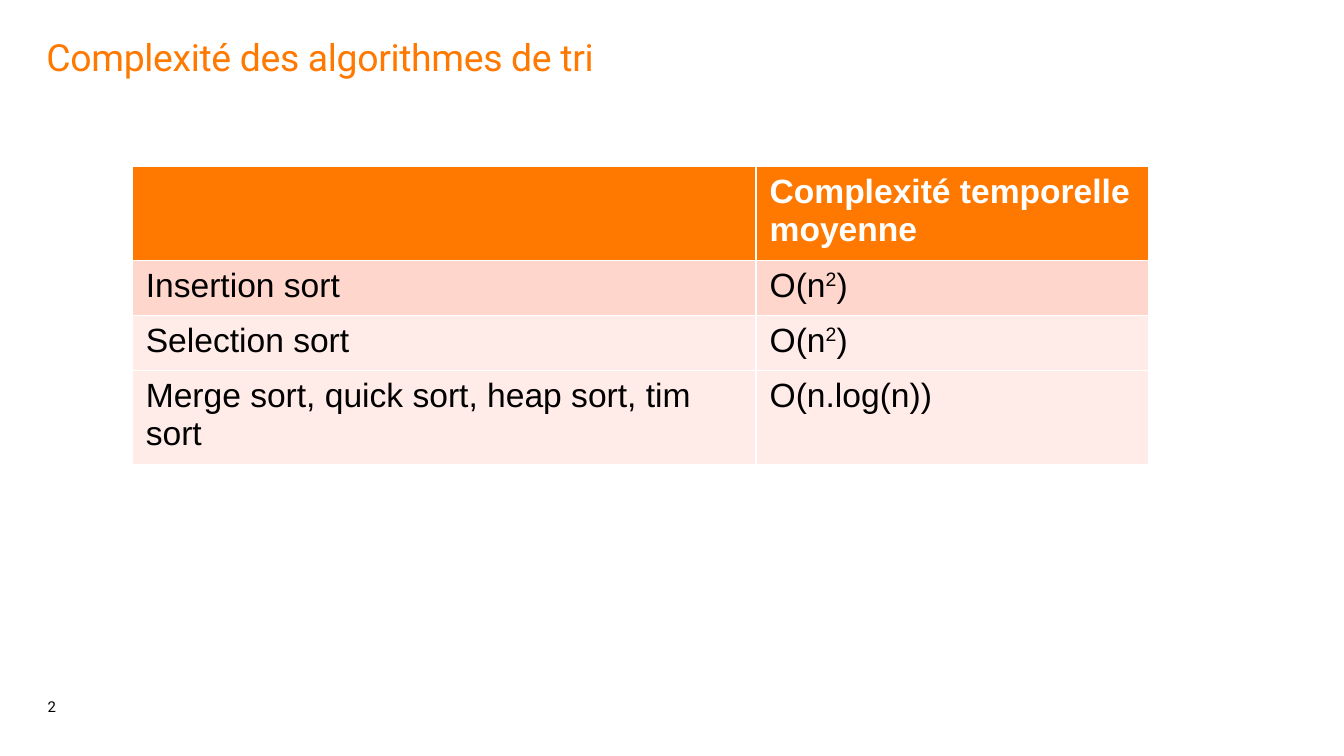
"""Build a slide comparing the average time complexity of sorting algorithms."""

from dataclasses import dataclass
from typing import NamedTuple

from pptx import Presentation
from pptx.dml.color import RGBColor
from pptx.enum.text import MSO_ANCHOR
from pptx.util import Inches, Pt

SLIDE_WIDTH = Inches(10)
SLIDE_HEIGHT = SLIDE_WIDTH * 9 // 16


@dataclass(frozen=True)
class Theme:
    accent: str = "FF7900"
    strong_band: str = "FFD6CC"
    light_band: str = "FFEBE7"
    ink: str = "000000"
    paper: str = "FFFFFF"
    heading_font: str = "Roboto"
    body_font: str = "Arial"
    title_size: float = 20
    body_size: float = 18
    number_size: float = 8


class Area(NamedTuple):
    left: float
    top: float
    width: float
    height: float

    def lengths(self) -> tuple[int, int, int, int]:
        """Turn shares of the slide into lengths."""
        return (round(self.left * SLIDE_WIDTH), round(self.top * SLIDE_HEIGHT),
                round(self.width * SLIDE_WIDTH), round(self.height * SLIDE_HEIGHT))


class Row(NamedTuple):
    algorithms: str
    complexity: str
    fill: str
    lines: int = 1
    header: bool = False


THEME = Theme()
MARGIN = 0.0345
TITLE_AREA = Area(MARGIN, 0.052, 0.931, 0.144)
NUMBER_AREA = Area(MARGIN, 0.882, 0.03, 0.064)
TABLE_AREA = Area(0.0985, 0.22, 0.756, 0.38)
COLUMN_SHARES = (0.614, 0.386)
ROW_HEIGHTS = {1: Inches(0.41), 2: Inches(0.66)}
ROWS = (
    Row("", "Complexité temporelle moyenne", THEME.accent, lines=2, header=True),
    Row("Insertion sort", "O(n^2^)", THEME.strong_band),
    Row("Selection sort", "O(n^2^)", THEME.light_band),
    Row("Merge sort, quick sort, heap sort, tim sort", "O(n.log(n))", THEME.light_band, lines=2),
)


def write_text(frame, text: str, *, size: float, font: str, color: str, bold: bool = False,
               line_spacing: float | None = None, space_after: float | None = None,
               tracking: float = 0) -> None:
    """Write one paragraph, raising whatever stands between carets."""
    frame.word_wrap = True
    paragraph = frame.paragraphs[0]
    if line_spacing is not None:
        paragraph.line_spacing = line_spacing
    if space_after is not None:
        paragraph.space_after = Pt(space_after)
    for index, part in enumerate(text.split("^")):
        run = paragraph.add_run()
        run.text = part
        run.font.size, run.font.name, run.font.bold = Pt(size), font, bold
        run.font.color.rgb = RGBColor.from_string(color)
        properties = run._r.get_or_add_rPr()
        if index % 2:
            properties.set("baseline", "33000")
        if tracking:
            properties.set("spc", str(round(tracking * 100)))


def add_label(slide, area: Area, text: str, *, anchor: MSO_ANCHOR = MSO_ANCHOR.TOP,
              inset: float = 0, **text_format) -> None:
    """Place a text box with tight margins."""
    frame = slide.shapes.add_textbox(*area.lengths()).text_frame
    frame.margin_left = Inches(inset)
    frame.margin_top = frame.margin_right = frame.margin_bottom = 0
    frame.vertical_anchor = anchor
    write_text(frame, text, **text_format)


def add_complexity_table(slide, area: Area, rows: tuple[Row, ...]) -> None:
    """Place the table of algorithms and their complexity."""
    table = slide.shapes.add_table(len(rows), len(COLUMN_SHARES), *area.lengths()).table
    for column, share in zip(table.columns, COLUMN_SHARES):
        column.width = round(share * area.width * SLIDE_WIDTH)
    for table_row, row in zip(table.rows, rows):
        table_row.height = ROW_HEIGHTS[row.lines]
        for cell, text in zip(table_row.cells, (row.algorithms, row.complexity)):
            cell.fill.solid()
            cell.fill.fore_color.rgb = RGBColor.from_string(row.fill)
            if text:
                write_text(cell.text_frame, text, size=THEME.body_size, font=THEME.body_font,
                           color=THEME.paper if row.header else THEME.ink, bold=row.header)


def main() -> None:
    """Assemble and save the slide."""
    presentation = Presentation()
    presentation.slide_width, presentation.slide_height = SLIDE_WIDTH, SLIDE_HEIGHT
    slide = presentation.slides.add_slide(presentation.slide_layouts[6])
    add_label(slide, NUMBER_AREA, "2", anchor=MSO_ANCHOR.BOTTOM, inset=0.01,
              size=THEME.number_size, font=THEME.heading_font, color=THEME.ink,
              line_spacing=0.85, space_after=12)
    add_label(slide, TITLE_AREA, "Complexité des algorithmes de tri",
              size=THEME.title_size, font=THEME.heading_font, color=THEME.accent,
              line_spacing=0.9, tracking=-0.2)
    add_complexity_table(slide, TABLE_AREA, ROWS)
    presentation.save("out.pptx")


if __name__ == "__main__":
    main()
